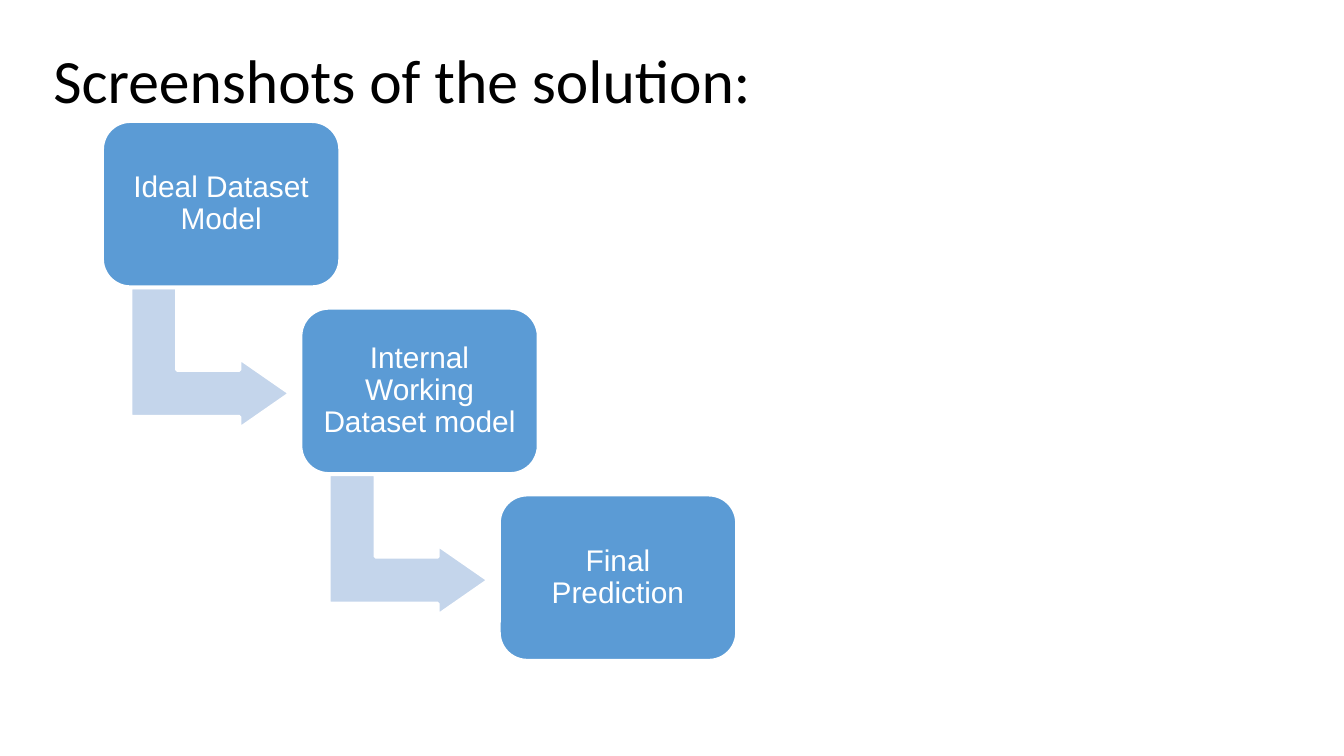
from pptx import Presentation
from pptx.dml.color import RGBColor
from pptx.enum.shapes import MSO_SHAPE
from pptx.enum.text import MSO_ANCHOR, PP_ALIGN
from pptx.util import Cm, Pt

BLACK = RGBColor(0x00, 0x00, 0x00)
WHITE = RGBColor(0xFF, 0xFF, 0xFF)
BLUE = RGBColor(0x5B, 0x9B, 0xD5)
PALE_BLUE = RGBColor(0xC4, 0xD5, 0xEB)

STEPS = ["Ideal Dataset Model", "Internal Working Dataset model", "Final Prediction"]
FIRST_LEFT, FIRST_TOP = 1.93, 2.29
STEP_X, STEP_Y = 3.75, 3.53
BOX_W, BOX_H = 4.5, 3.14
ARROW_W, ARROW_H = 2.67, 3.02
ARROW_DX, ARROW_DY = 0.71, 2.97


def set_text(sp, text, font, size, color, inset):
    """Fill a shape with one formatted paragraph and return the paragraph."""
    tf = sp.text_frame
    tf.word_wrap = True
    tf.margin_left = tf.margin_right = tf.margin_top = tf.margin_bottom = Cm(inset)
    tf.text = text
    p = tf.paragraphs[0]
    p.line_spacing = 0.9
    r = p.runs[0]
    r.font.name = font
    r.font.size = Pt(size)
    r.font.color.rgb = color
    return p


def add_title(s, text):
    """Add the slide heading."""
    sp = s.shapes.add_textbox(Cm(0.76), Cm(0.71), Cm(23.67), Cm(1.6))
    set_text(sp, text, "Calibri", 33, BLACK, 0.25)


def add_block(s, kind, left, top, width, height, fill, adjustments):
    """Add a filled preset shape with a white outline."""
    sp = s.shapes.add_shape(kind, Cm(left), Cm(top), Cm(width), Cm(height))
    sp.shadow.inherit = False
    sp.fill.solid()
    sp.fill.fore_color.rgb = fill
    sp.line.color.rgb = WHITE
    sp.line.width = Pt(2)
    for i, value in enumerate(adjustments):
        sp.adjustments[i] = value
    return sp


def add_arrow(s, left, top):
    """Add the bent arrow that leads to the next step."""
    sp = add_block(s, MSO_SHAPE.BENT_UP_ARROW, left, top, ARROW_W, ARROW_H,
                   PALE_BLUE, [0.33, 0.25, 0.36])
    sp.rotation = 90


def add_step(s, left, top, text):
    """Add a rounded box with the name of a step."""
    sp = add_block(s, MSO_SHAPE.ROUNDED_RECTANGLE, left, top, BOX_W, BOX_H,
                   BLUE, [0.17])
    p = set_text(sp, text, "Arial", 16, WHITE, 0.17)
    p.alignment = PP_ALIGN.CENTER
    sp.text_frame.vertical_anchor = MSO_ANCHOR.MIDDLE


def main():
    """Build the slide and save it."""
    prs = Presentation()
    prs.slide_width, prs.slide_height = Cm(25.4), Cm(14.29)
    s = prs.slides.add_slide(prs.slide_layouts[6])
    add_title(s, "Screenshots of the solution:")
    for i, text in enumerate(STEPS):
        left, top = FIRST_LEFT + i * STEP_X, FIRST_TOP + i * STEP_Y
        if i < len(STEPS) - 1:
            add_arrow(s, left + ARROW_DX, top + ARROW_DY)
        add_step(s, left, top, text)
    prs.save("out.pptx")


main()
